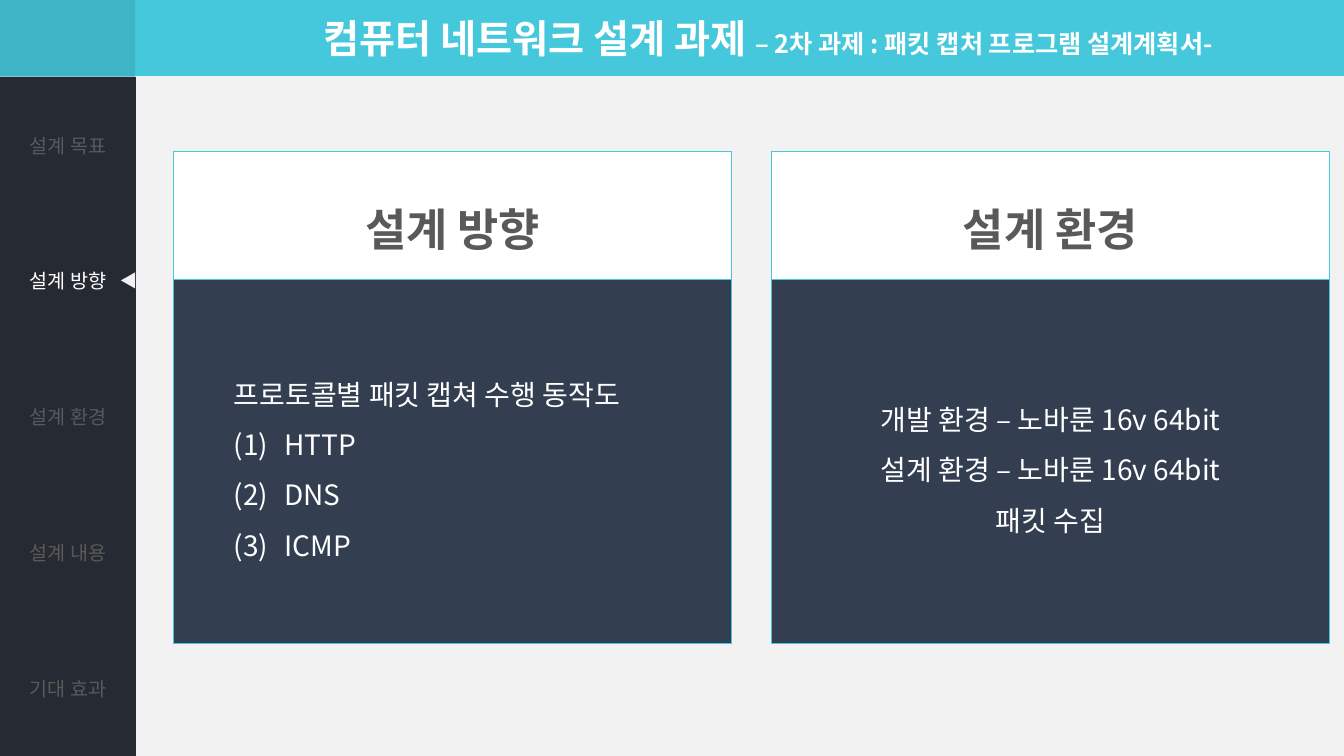
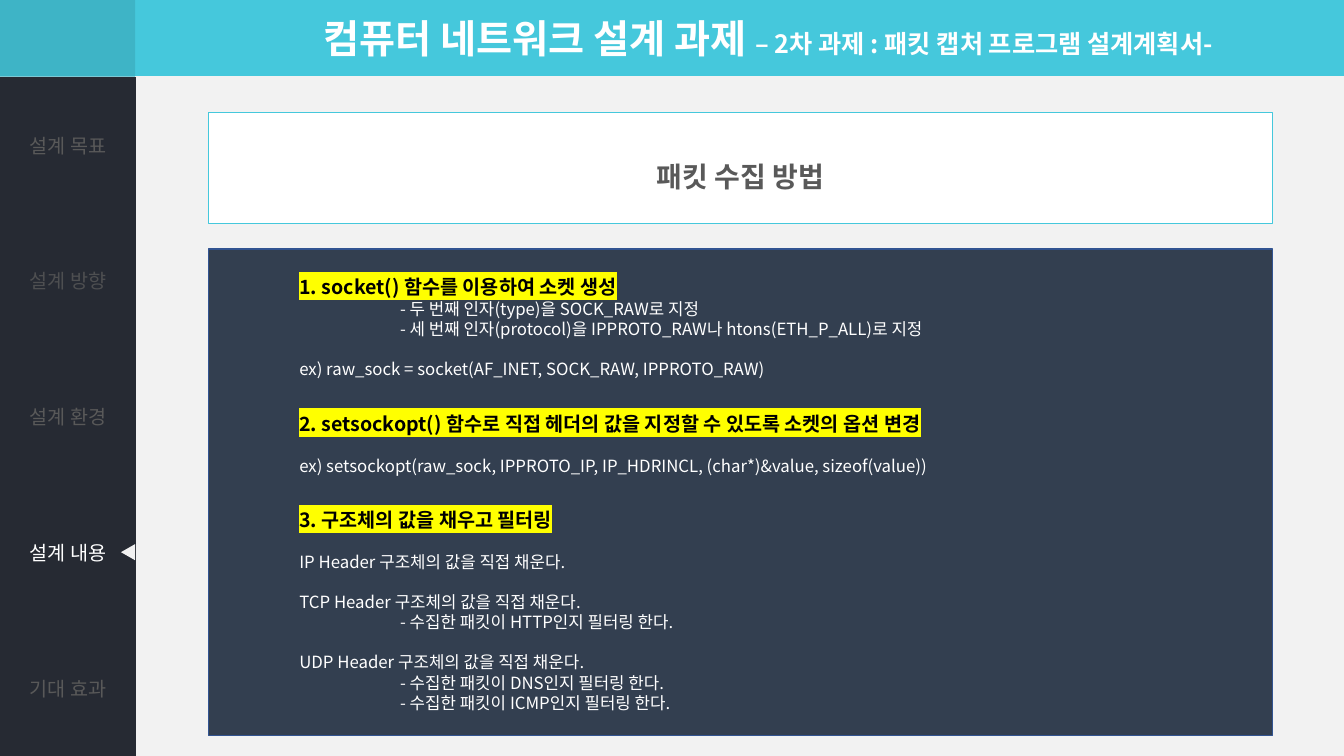
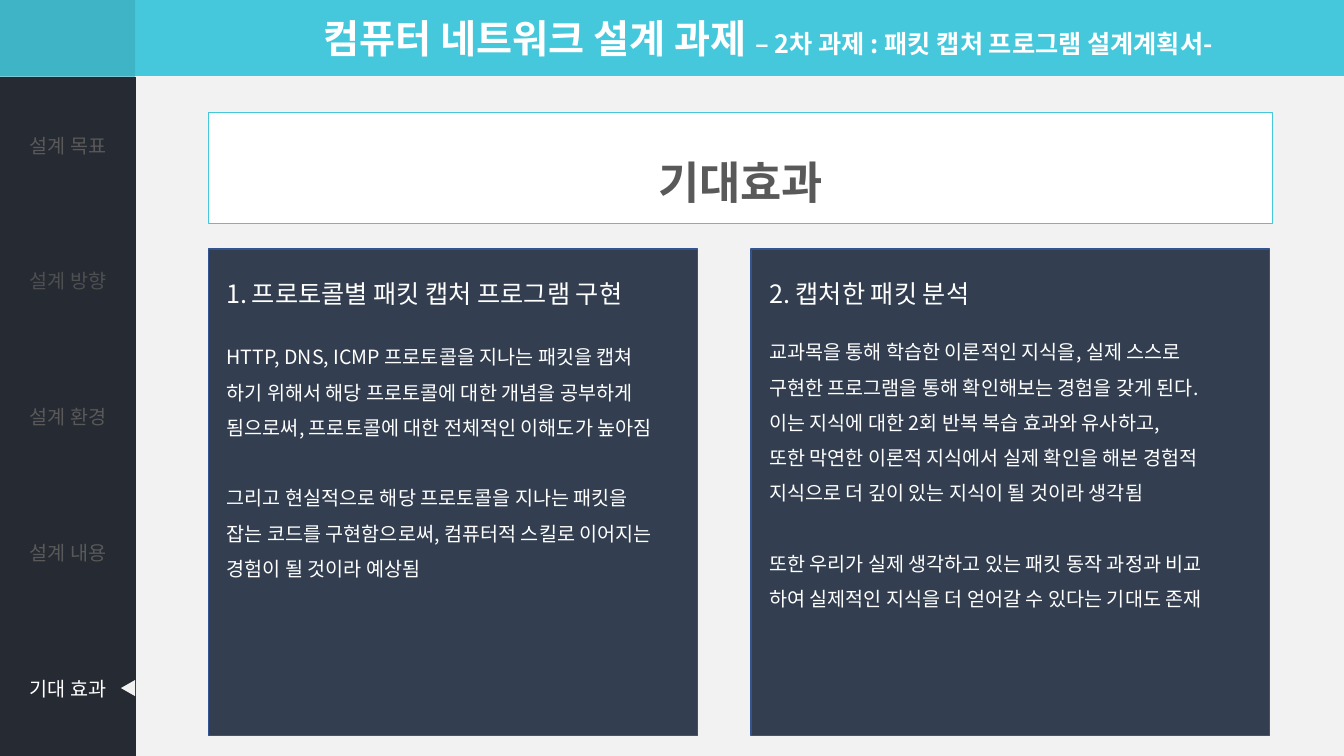
"""Build three slides of a network design report with a sidebar menu."""
from dataclasses import dataclass

from lxml import etree
from pptx import Presentation
from pptx.dml.color import RGBColor
from pptx.enum.shapes import MSO_SHAPE
from pptx.enum.text import MSO_ANCHOR, MSO_AUTO_SIZE, PP_ALIGN
from pptx.oxml.ns import qn
from pptx.util import Inches, Pt

RECTANGLE, TRIANGLE = MSO_SHAPE.RECTANGLE, MSO_SHAPE.ISOSCELES_TRIANGLE
LEFT, CENTER = PP_ALIGN.LEFT, PP_ALIGN.CENTER
TOP, MIDDLE = MSO_ANCHOR.TOP, MSO_ANCHOR.MIDDLE
GROW = MSO_AUTO_SIZE.SHAPE_TO_FIT_TEXT

FONT = "Noto Sans CJK KR"
COLORS = {
    "cyan": "45C8DC", "corner": "3EB4C6", "page": "F2F2F2", "menu": "262A33",
    "white": "FFFFFF", "black": "000000", "gray": "595959", "dim": "4E4F51",
    "navy": "333F50", "blue": "325491", "yellow": "FFFF00",
}
STYLES = {
    "title": ("white", {"size": Pt(28), "bold": True}),
    "subtitle": ("white", {"size": Pt(18), "bold": True}),
    "menu": ("gray", {"size": Pt(14)}),
    "menu dim": ("dim", {"size": Pt(14)}),
    "menu active": ("white", {"size": Pt(14)}),
    "heading": ("gray", {"size": Pt(32), "bold": True}),
    "small heading": ("gray", {"size": Pt(20), "bold": True}),
    "body": ("white", {"size": Pt(20)}),
    "topic": ("white", {"size": Pt(18)}),
    "prose": ("white", {"size": Pt(14)}),
    "step": ("black", {"size": Pt(14), "bold": True}),
    "detail": ("white", {"size": Pt(12)}),
}
HIGHLIGHTS = {"step": "yellow"}
NO_TABLE_STYLE = "{2D5ABB26-0587-4C30-8999-92F81FD0307C}"

SLIDE_W, SLIDE_H = 13.33, 7.5
BAND_H, MENU_W = 0.76, 1.35
MENU = ["설계 목표", "설계 방향", "설계 환경", "설계 내용", "기대 효과"]
DIRECTION, CONTENT, EFFECT = 1, 3, 4
LINE_FACTOR = 1.2


@dataclass
class Line:
    """One paragraph: its text, style name and paragraph format."""
    text: str
    style: str
    align: int = LEFT
    spacing: float = 1.0
    before: float = 0
    indent: float = 0
    hang: float = 0
    numbering: str = ""


def rgb(name):
    """Return the named colour."""
    return RGBColor.from_string(COLORS[name])


def add_run(paragraph, text, style):
    """Add a run of text in a named style."""
    run = paragraph.add_run()
    run.text = text
    color, font_format = STYLES[style]
    for key, value in font_format.items():
        setattr(run.font, key, value)
    run.font.color.rgb = rgb(color)
    properties = run.font._element
    if style in HIGHLIGHTS:
        highlight = etree.SubElement(properties, qn("a:highlight"))
        etree.SubElement(highlight, qn("a:srgbClr"), val=COLORS[HIGHLIGHTS[style]])
    run.font.name = FONT
    etree.SubElement(properties, qn("a:ea"), typeface=FONT)


def write(frame, lines, anchor=MIDDLE):
    """Fill a text frame with lines."""
    frame.word_wrap = True
    frame.vertical_anchor = anchor
    for number, line in enumerate(lines):
        paragraph = frame.add_paragraph() if number else frame.paragraphs[0]
        paragraph_format = {"alignment": line.align, "line_spacing": line.spacing,
                            "space_before": Pt(line.before)}
        for key, value in paragraph_format.items():
            setattr(paragraph, key, value)
        properties = paragraph._p.get_or_add_pPr()
        properties.set("marL", str(Inches(line.indent)))
        properties.set("indent", str(Inches(-line.hang)))
        if line.numbering:
            etree.SubElement(properties, qn("a:buFont"), typeface=FONT)
            etree.SubElement(properties, qn("a:buAutoNum"), type=line.numbering)
        add_run(paragraph, line.text, line.style)


def add_block(slide, box, fill, border=None, width=0.75, lines=(), kind=RECTANGLE):
    """Add a filled shape, with a border and text when given."""
    block = slide.shapes.add_shape(kind, *map(Inches, box))
    block.shadow.inherit = False
    block.fill.solid()
    block.fill.fore_color.rgb = rgb(fill)
    if border:
        block.line.color.rgb = rgb(border)
        block.line.width = Pt(width)
    else:
        block.line.fill.background()
    if lines:
        write(block.text_frame, lines)
    return block


def add_text(slide, box, lines):
    """Add a text box that grows with its lines."""
    frame = slide.shapes.add_textbox(*map(Inches, box)).text_frame
    write(frame, lines, TOP)
    frame.auto_size = GROW


def set_background(master):
    """Give the master a cyan band over a light page."""
    fill = master.background.fill
    fill.gradient()
    fill.gradient_angle = 270
    for stop, color in zip(fill.gradient_stops, ("cyan", "page")):
        stop.position = 0.1
        stop.color.rgb = rgb(color)


def add_header(slide, box):
    """Place the report title in the top band."""
    title = slide.shapes.title
    for key, value in zip(("left", "top", "width", "height"), box):
        setattr(title, key, Inches(value))
    write(title.text_frame, [Line("컴퓨터 네트워크 설계 과제 ", "title")])
    add_run(title.text_frame.paragraphs[0], "– 2차 과제 : 패킷 캡처 프로그램 설계계획서-", "subtitle")
    title.text_frame.auto_size = GROW
    add_block(slide, (0, 0, 1.34, BAND_H), "corner")


def add_menu(slide, box, active):
    """Add the sidebar menu and point at the active entry."""
    left, top, width, height = box
    frame = slide.shapes.add_table(len(MENU), 1, *map(Inches, box))
    menu = frame.table
    menu.first_row = menu.horz_banding = False
    for style_id in frame._element.iter(qn("a:tableStyleId")):
        style_id.text = NO_TABLE_STYLE
    for row, entry in enumerate(MENU):
        cell = menu.cell(row, 0)
        cell.fill.solid()
        cell.fill.fore_color.rgb = rgb("menu")
        cell.vertical_anchor = MIDDLE
        if row == active:
            style = "menu active"
        else:
            style = "menu dim" if row == DIRECTION else "menu"
        paragraph = cell.text_frame.paragraphs[0]
        paragraph.alignment = CENTER
        add_run(paragraph, entry, style)
    middle = top + height / len(MENU) * (active + 0.5)
    pointer = add_block(slide, (left + width - 0.16, middle - 0.07, 0.16, 0.14),
                        "page", kind=TRIANGLE)
    pointer.rotation = 270


def add_heading(slide, box, text, style="heading"):
    """Add a white heading box."""
    add_block(slide, box, "white", "cyan", lines=[Line(text, style, CENTER, 1.5)])


def add_card(slide, box, heading, lines):
    """Add a navy card topped by a white heading."""
    left, top, width, height = box
    head = 1.27
    add_block(slide, (left, top + head, width, height - head), "navy", "cyan", lines=lines)
    add_heading(slide, (left, top, width, head), heading)


def add_steps(slide, box, steps):
    """Add a navy panel holding steps stacked with equal gaps."""
    left, top, width, height = box
    add_block(slide, box, "navy", "blue", 1)
    step_top = top + 0.21
    for lines in steps:
        points = sum(STYLES[line.style][1]["size"].pt * LINE_FACTOR + line.before for line in lines)
        step_height = points / 72 + 0.1
        add_text(slide, (left + 0.8, step_top, 7.91, step_height), lines)
        step_top += step_height + 0.22


def add_effect(slide, box, topic, paragraphs, gap):
    """Add a navy panel with a topic and its prose, one gap above each paragraph."""
    left, top, width, height = box
    add_block(slide, box, "navy", "blue", 1)
    lines = [topic]
    for number, paragraph in enumerate(paragraphs):
        for row, text in enumerate(paragraph):
            before = 0 if row else (25.2 if number else gap)
            lines.append(Line(text, "prose", spacing=1.5, before=before, indent=0.5))
    add_text(slide, (left - 0.42, top + 0.09, 6.2, 3.9), lines)


def detail(text, gap=False):
    """Return a detail line, optionally one line lower."""
    return Line(text, "detail", before=12 * LINE_FACTOR if gap else 0)


def dash(text):
    """Return an indented detail line."""
    return Line("- " + text, "detail", indent=1)


def new_slide(deck, active):
    """Add a slide with the shared header and menu."""
    slide = deck.slides.add_slide(deck.slide_layouts[5])
    add_header(slide, (3.11, 0.09, 10.2, 0.57))
    add_menu(slide, (0, BAND_H, MENU_W, SLIDE_H - BAND_H), active)
    return slide


def direction_slide(deck):
    """Design direction and environment cards."""
    slide = new_slide(deck, DIRECTION)
    protocols = [Line("프로토콜별 패킷 캡쳐 수행 동작도", "body", spacing=1.5, indent=0.5)]
    protocols += [Line(name, "body", spacing=1.5, indent=1, hang=0.5, numbering="arabicParenBoth")
                  for name in ("HTTP", "DNS", "ICMP")]
    environment = [Line(text, "body", CENTER, 1.5) for text in (
        "개발 환경 – 노바룬 16v 64bit", "설계 환경 – 노바룬 16v 64bit", "패킷 수집")]
    cards = [("설계 방향", protocols), ("설계 환경", environment)]
    for column, (heading, lines) in enumerate(cards):
        add_card(slide, (1.72 + column * 5.93, 1.5, 5.54, 4.88), heading, lines)


def content_slide(deck):
    """Packet collection steps."""
    slide = new_slide(deck, CONTENT)
    add_heading(slide, (2.07, 1.12, 10.55, 1.1), "패킷 수집 방법", "small heading")
    add_steps(slide, (2.07, 2.47, 10.55, 4.83), [
        [Line("1. socket() 함수를 이용하여 소켓 생성", "step"),
         dash("두 번째 인자(type)을 SOCK_RAW로 지정"),
         dash("세 번째 인자(protocol)을 IPPROTO_RAW나 htons(ETH_P_ALL)로 지정"),
         detail("ex) raw_sock = socket(AF_INET, SOCK_RAW, IPPROTO_RAW)", True)],
        [Line("2. setsockopt() 함수로 직접 헤더의 값을 지정할 수 있도록 소켓의 옵션 변경", "step"),
         detail("ex) setsockopt(raw_sock, IPPROTO_IP, IP_HDRINCL, (char*)&value, sizeof(value))", True)],
        [Line("3. 구조체의 값을 채우고 필터링", "step"),
         detail("IP Header 구조체의 값을 직접 채운다.", True),
         detail("TCP Header 구조체의 값을 직접 채운다.", True),
         dash("수집한 패킷이 HTTP인지 필터링 한다."),
         detail("UDP Header 구조체의 값을 직접 채운다.", True),
         dash("수집한 패킷이 DNS인지 필터링 한다."),
         dash("수집한 패킷이 ICMP인지 필터링 한다.")],
    ])


def effect_slide(deck):
    """Expected effects in two panels."""
    slide = new_slide(deck, EFFECT)
    add_heading(slide, (2.07, 1.12, 10.55, 1.1), "기대효과")
    add_effect(
        slide, (2.07, 2.47, 4.85, 4.83),
        Line("프로토콜별 패킷 캡처 프로그램 구현", "topic", spacing=1.5,
             indent=0.75, hang=0.25, numbering="arabicPeriod"),
        [["HTTP, DNS, ICMP 프로토콜을 지나는 패킷을 캡쳐",
          "하기 위해서 해당 프로토콜에 대한 개념을 공부하게",
          "됨으로써, 프로토콜에 대한 전체적인 이해도가 높아짐"],
         ["그리고 현실적으로 해당 프로토콜을 지나는 패킷을",
          "잡는 코드를 구현함으로써, 컴퓨터적 스킬로 이어지는",
          "경험이 될 것이라 예상됨"]], 18)
    add_effect(
        slide, (7.45, 2.47, 5.14, 4.83),
        Line("2. 캡처한 패킷 분석", "topic", spacing=1.5, indent=0.5),
        [["교과목을 통해 학습한 이론적인 지식을, 실제 스스로",
          "구현한 프로그램을 통해 확인해보는 경험을 갖게 된다.",
          "이는 지식에 대한 2회 반복 복습 효과와 유사하고,",
          "또한 막연한 이론적 지식에서 실제 확인을 해본 경험적",
          "지식으로 더 깊이 있는 지식이 될 것이라 생각됨"],
         ["또한 우리가 실제 생각하고 있는 패킷 동작 과정과 비교",
          "하여 실제적인 지식을 더 얻어갈 수 있다는 기대도 존재"]], 14.4)


def main():
    """Build and save the deck."""
    deck = Presentation()
    deck.slide_width, deck.slide_height = Inches(SLIDE_W), Inches(SLIDE_H)
    set_background(deck.slide_master)
    for build in (direction_slide, content_slide, effect_slide):
        build(deck)
    deck.save("out.pptx")


main()
